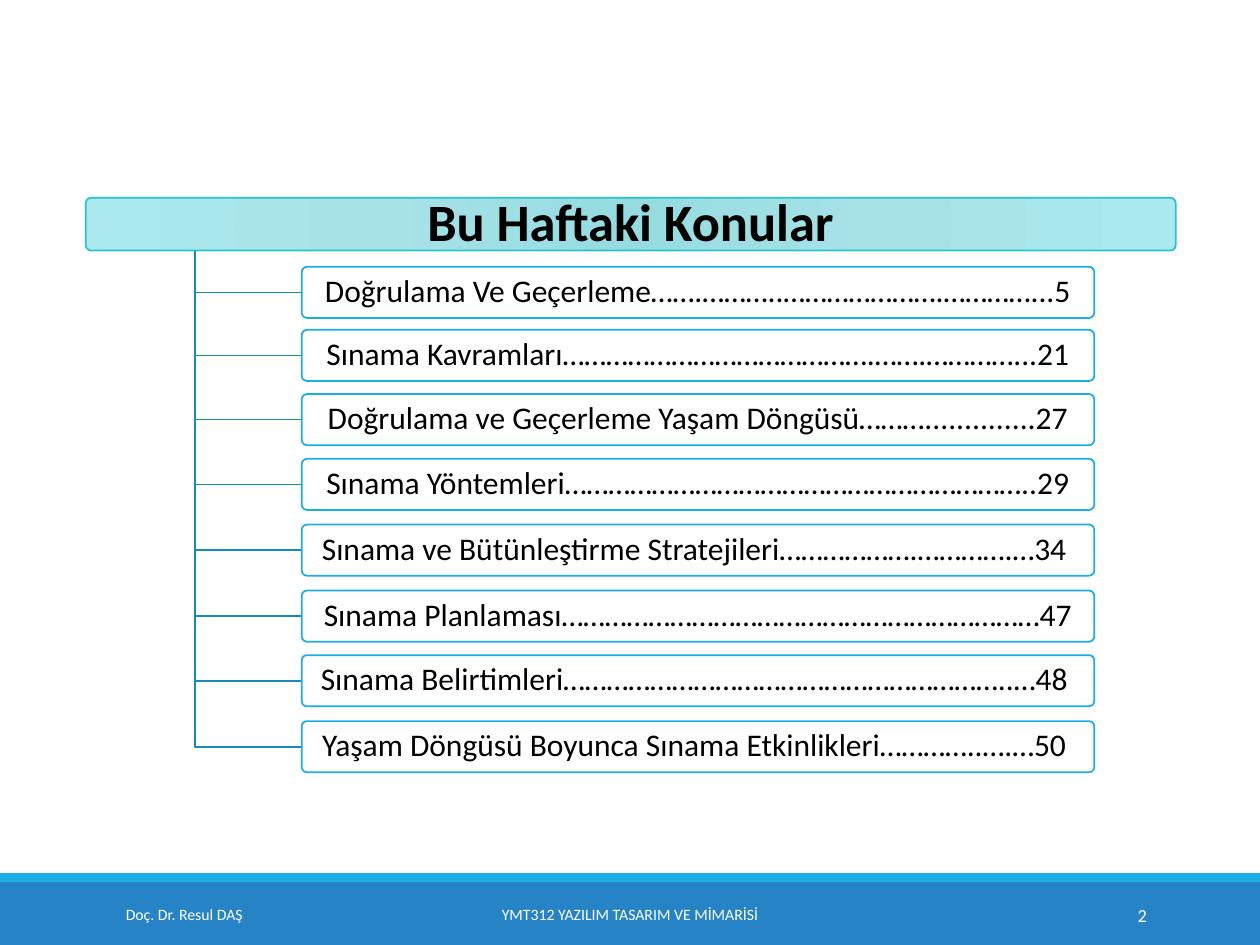
from lxml import etree
from pptx import Presentation
from pptx.dml.color import RGBColor
from pptx.enum import shapes, text
from pptx.oxml import parse_xml
from pptx.oxml.ns import nsdecls, qn
from pptx.util import Pt

COLORS = {
    "band": "2683C6", "accent": "1CADE4", "branch": "168BB7",
    "header": "28C4CC", "white": "FFFFFF", "black": "000000",
}
HEADER_STOPS = [(0, "95DBE0"), (45, "A7E2E7"), (100, "ACE9EE")]
FONT = "Calibri"

BAR = (49, 113, 622.8, 30.2)
TRUNK_X, TRUNK_Y = 111.6, 143.2
BOX_X, BOX_W, BOX_H = 172.4, 452.9, 29.2

# Top of each topic box and its contents line
TOPICS = [
    (152.5, "Doğrulama Ve Geçerleme…….………..………………….…………...5"),
    (188.5, "Sınama Kavramları…………………………………….…….…………...21"),
    (225.2, "Doğrulama ve Geçerleme Yaşam Döngüsü………..............27"),
    (262.2, "Sınama Yöntemleri………………………………………………………..29"),
    (299.8, "Sınama ve Bütünleştirme Stratejileri……………….………….…34 "),
    (337.5, "Sınama Planlaması…………………………………………………………47"),
    (374.4, "Sınama Belirtimleri……………………………………………………..…48 "),
    (412.1, "Yaşam Döngüsü Boyunca Sınama Etkinlikleri…………..….…50 "),
]


def rgb(name):
    return RGBColor.from_string(COLORS[name])


def pts(values):
    return [Pt(v) for v in values]


def write(sp, words, size=18, color="black", bold=False, align="CENTER",
          inset=(7.2, 3.6), spacing=None):
    tf = sp.text_frame
    tf.word_wrap = True
    tf.auto_size = text.MSO_AUTO_SIZE.NONE
    tf.vertical_anchor = text.MSO_ANCHOR.MIDDLE
    tf.margin_left = tf.margin_right = Pt(inset[0])
    tf.margin_top = tf.margin_bottom = Pt(inset[1])
    p = tf.paragraphs[0]
    p.alignment = getattr(text.PP_ALIGN, align)
    if spacing:
        p.line_spacing = spacing
    r = p.add_run()
    r.text = words
    r.font.name, r.font.size, r.font.bold = FONT, Pt(size), bold
    r.font.color.rgb = rgb(color)


def add_box(s, box, fill, line=None, rounded=False):
    kind = shapes.MSO_SHAPE.ROUNDED_RECTANGLE if rounded else shapes.MSO_SHAPE.RECTANGLE
    sp = s.shapes.add_shape(kind, *pts(box))
    sp.shadow.inherit = False
    sp.fill.solid()
    sp.fill.fore_color.rgb = rgb(fill)
    if rounded:
        sp.adjustments[0] = 0.1
    if line:
        sp.line.color.rgb = rgb(line)
        sp.line.width = Pt(1)
    else:
        sp.line.fill.background()
    return sp


def fill_radial(sp, stops):
    """Replace a solid fill with a circular gradient."""
    gs = "".join(f'<a:gs pos="{pos * 1000}"><a:srgbClr val="{color}"/></a:gs>'
                 for pos, color in stops)
    grad = parse_xml(
        f'<a:gradFill {nsdecls("a")} rotWithShape="1"><a:gsLst>{gs}</a:gsLst>'
        '<a:path path="circle"><a:fillToRect l="100000" t="100000" r="100000" b="100000"/>'
        '</a:path></a:gradFill>')
    solid = sp.element.spPr.find(qn("a:solidFill"))
    solid.getparent().replace(solid, grad)


def add_header(s, words):
    bar = add_box(s, BAR, "white", "header", rounded=True)
    fill_radial(bar, HEADER_STOPS)
    title = s.shapes.title
    title.left, title.top, title.width, title.height = pts(BAR)
    write(title, words, size=30, bold=True, inset=(4.3, 2.9), spacing=0.9)
    bar.element.addnext(title.element)  # the title lies on top of the bar


def add_branch(s, y):
    """Draw the elbow from the header down to a topic at height y."""
    fb = s.shapes.build_freeform(Pt(TRUNK_X), Pt(TRUNK_Y))
    fb.add_line_segments([(Pt(TRUNK_X), Pt(y)), (Pt(BOX_X), Pt(y))], close=False)
    sp = fb.convert_to_shape()
    sp.shadow.inherit = False
    sp.fill.background()
    sp.line.color.rgb = rgb("branch")
    sp.line.width = Pt(1)


def add_topic(s, top, words):
    add_branch(s, top + BOX_H / 2)
    sp = add_box(s, (BOX_X, top, BOX_W, BOX_H), "white", "accent", rounded=True)
    color = sp.element.spPr.find(qn("a:solidFill"))[0]
    etree.SubElement(color, qn("a:alpha"), val="90000")
    write(sp, words, inset=(3.8, 2.9), spacing=0.9)


def add_footer(s, left, width, words, **fmt):
    sp = s.shapes.add_textbox(*pts((left, 508.3, width, 28.8)))
    write(sp, words, color="white", **fmt)


def main():
    prs = Presentation()
    prs.slide_width, prs.slide_height = Pt(720), Pt(540)
    s = prs.slides.add_slide(prs.slide_layouts[5])

    add_box(s, (0, 504, 720, 36), "band")
    add_box(s, (0, 499, 720, 5), "accent")
    add_header(s, "Bu Haftaki Konular")
    for top, words in TOPICS:
        add_topic(s, top, words)

    add_footer(s, 64.8, 146.2, "Doç. Dr. Resul DAŞ", size=9, align="LEFT")
    add_footer(s, 217.4, 285.1, "YMT312 YAZILIM TASARIM VE MİMARİSİ", size=9)
    add_footer(s, 584.6, 77.8, "2", size=10.5, align="RIGHT")
    prs.save("out.pptx")


if __name__ == "__main__":
    main()
